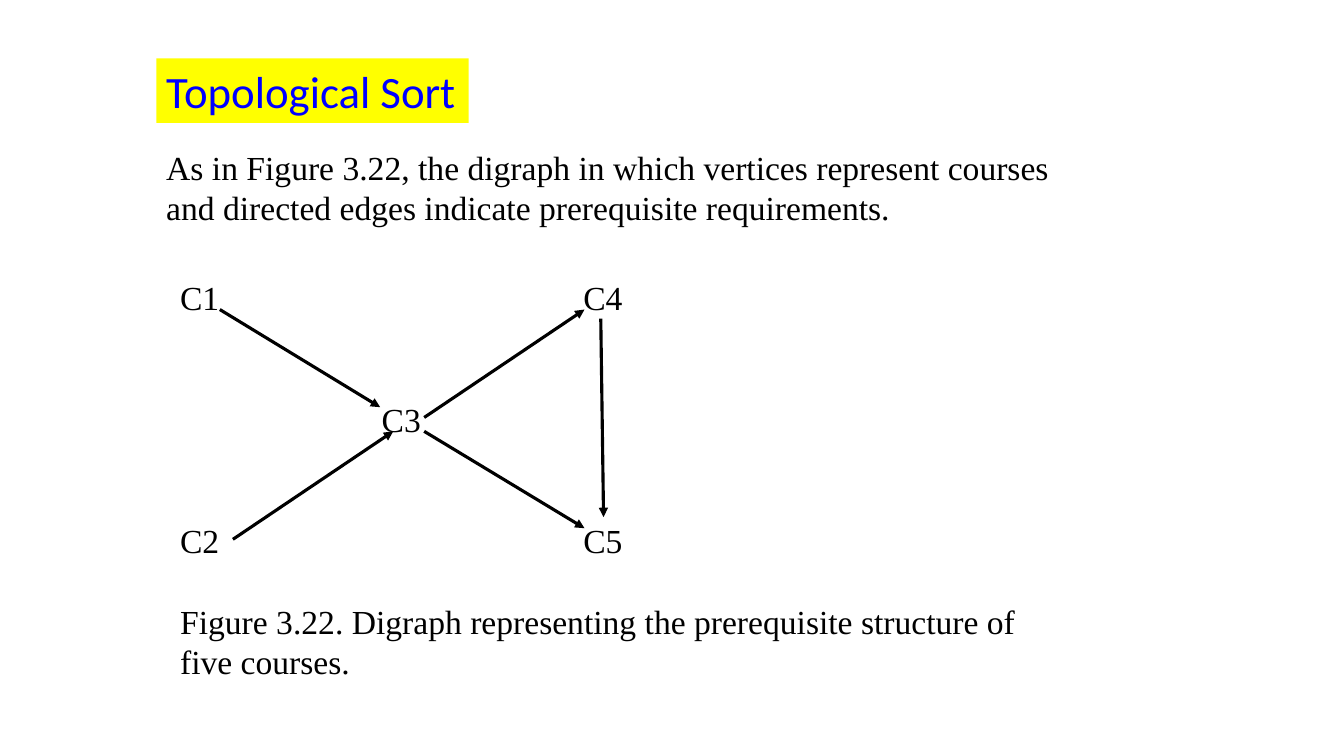
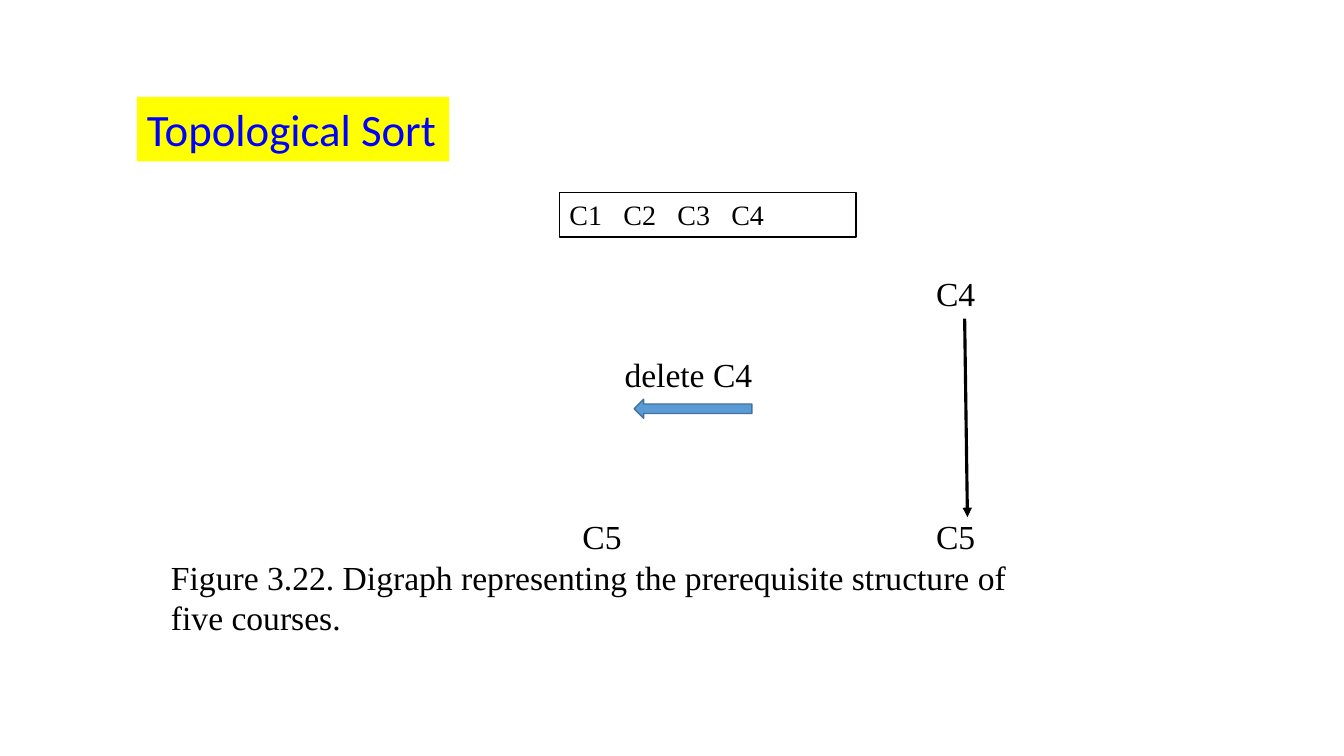
import pptx
import pptx.dml.color
import pptx.enum.shapes
import pptx.enum.text
import pptx.oxml
import pptx.oxml.ns
import pptx.util

Cm, Pt = pptx.util.Cm, pptx.util.Pt
SHAPE = pptx.enum.shapes.MSO_SHAPE

BLACK, WHITE = "000000", "FFFFFF"
YELLOW, TITLE_BLUE = "FFFF00", "0000FF"
ARROW_BLUE, ARROW_EDGE = "5B9BD5", "43739E"

CAPTION = ("Figure 3.22. Digraph representing the prerequisite structure "
           "of five courses.")
ROW = 1.02      # height of one text row in the figures, cm
COLUMN = 5.08   # distance between node columns, cm


def colour(hex_string):
    return pptx.dml.color.RGBColor.from_string(hex_string)


def drawing_element(tag, **attributes):
    element = pptx.oxml.parse_xml(f"<a:{tag} {pptx.oxml.ns.nsdecls('a')}/>")
    for name, value in attributes.items():
        element.set(name, str(value))
    return element


class Deck:
    """Holds the style and the current slide."""

    TITLE = {"name": "Calibri", "size": Pt(32)}
    BODY = {"name": "Times New Roman", "size": Pt(24)}
    LIST = {"name": "Times New Roman", "size": Pt(20)}

    def __init__(self):
        self.presentation = pptx.Presentation()
        self.presentation.slide_width = Cm(33.87)
        self.presentation.slide_height = Cm(19.05)
        self.slide = None

    def add_slide(self):
        layout = self.presentation.slide_layouts[6]
        self.slide = self.presentation.slides.add_slide(layout)

    def fill_text(self, shape, text, style, text_colour=BLACK, wrap=True,
                  line_spacing=None, tabs=()):
        frame = shape.text_frame
        frame.word_wrap = wrap
        frame.vertical_anchor = pptx.enum.text.MSO_ANCHOR.TOP
        paragraph = frame.paragraphs[0]
        if tabs:
            tab_list = drawing_element("tabLst")
            for position in tabs:
                tab_list.append(
                    drawing_element("tab", pos=int(Cm(position)), algn="l"))
            paragraph._p.get_or_add_pPr().append(tab_list)
        paragraph.alignment = pptx.enum.text.PP_ALIGN.LEFT
        paragraph.line_spacing = line_spacing
        run = paragraph.add_run()
        run.text = text
        for name, value in style.items():
            setattr(run.font, name, value)
        run.font.color.rgb = colour(text_colour)

    def text(self, text, left, top, width, height=ROW + 0.25):
        box = self.slide.shapes.add_textbox(
            Cm(left), Cm(top), Cm(width), Cm(height))
        self.fill_text(box, text, self.BODY, line_spacing=Pt(28.8))

    def shape(self, kind, left, top, width, height, fill, line=None):
        shape = self.slide.shapes.add_shape(
            kind, Cm(left), Cm(top), Cm(width), Cm(height))
        shape.shadow.inherit = False
        shape.fill.solid()
        shape.fill.fore_color.rgb = colour(fill)
        if line:
            shape.line.color.rgb = colour(line)
            shape.line.width = Pt(1)
        else:
            shape.line.fill.background()
        return shape

    def title(self, text, left, top):
        band = self.shape(SHAPE.RECTANGLE, left, top, 7.87, 1.63, YELLOW)
        self.fill_text(band, text, self.TITLE, TITLE_BLUE, wrap=False)

    def caption(self, left, top):
        self.text(CAPTION, left, top, 22.86, 2.3)

    def node(self, text, left, top):
        self.text(text, left, top, 1.6)

    def sorted_list(self, names, left, top):
        box = self.shape(SHAPE.RECTANGLE, left, top, 7.47, 1.12, WHITE, BLACK)
        stops = [1.36 * index for index in range(1, len(names))]
        self.fill_text(box, "\t".join(names), self.LIST, line_spacing=Pt(24),
                       tabs=stops)

    def edge(self, *ends):
        connector = self.slide.shapes.add_connector(
            pptx.enum.shapes.MSO_CONNECTOR.STRAIGHT,
            *(Cm(value) for value in ends))
        connector.line.color.rgb = colour(BLACK)
        connector.line.width = Pt(2.25)
        connector.line._get_or_add_ln().append(
            drawing_element("tailEnd", type="triangle"))
        connector._element.spPr.append(drawing_element("effectLst"))


def digraph_slide(deck):
    deck.add_slide()
    deck.text("As in Figure 3.22, the digraph in which vertices represent "
              "courses and directed edges indicate prerequisite requirements.",
              3.94, 3.58, 23.75, 2.31)

    # Nodes, by column and text row
    left, top = 4.29, 6.86
    for name, column, row in (("C1", 0, 0), ("C4", 2, 0), ("C3", 1, 3),
                              ("C2", 0, 6), ("C5", 2, 6)):
        deck.node(name, left + column * COLUMN, top + row * ROW)
    deck.caption(left, top + 8 * ROW)

    # Prerequisite edges
    for ends in ((5.54, 7.8, 9.58, 10.26),
                 (10.69, 10.87, 14.73, 13.31),
                 (10.69, 10.52, 14.73, 7.8),
                 (5.87, 13.59, 9.91, 10.87),
                 (15.14, 8.03, 15.21, 13.03)):
        deck.edge(*ends)
    deck.title("Topological Sort", 3.94, 1.47)


def deletion_slide(deck):
    deck.add_slide()

    # Graph before the step on the right, after it on the left
    top, before, after = 6.76, 23.34, 14.43
    deck.node("C4", before, top)
    for left in (after, before):
        deck.node("C5", left, top + 6 * ROW)
    deck.edge(24.31, 8.03, 24.38, 13.03)

    # Deletion step
    deck.text("delete C4", 15.49, top + 2 * ROW, 4.5)
    deck.shape(SHAPE.LEFT_ARROW, 15.98, 10.06, 2.97, 0.48,
               ARROW_BLUE, ARROW_EDGE)

    deck.caption(4.06, top + 7 * ROW)
    deck.title("Topological Sort", 3.45, 2.44)
    deck.sorted_list(("C1", "C2", "C3", "C4"), 14.1, 4.85)


def main():
    deck = Deck()
    digraph_slide(deck)
    deletion_slide(deck)
    deck.presentation.save("out.pptx")


if __name__ == "__main__":
    main()
